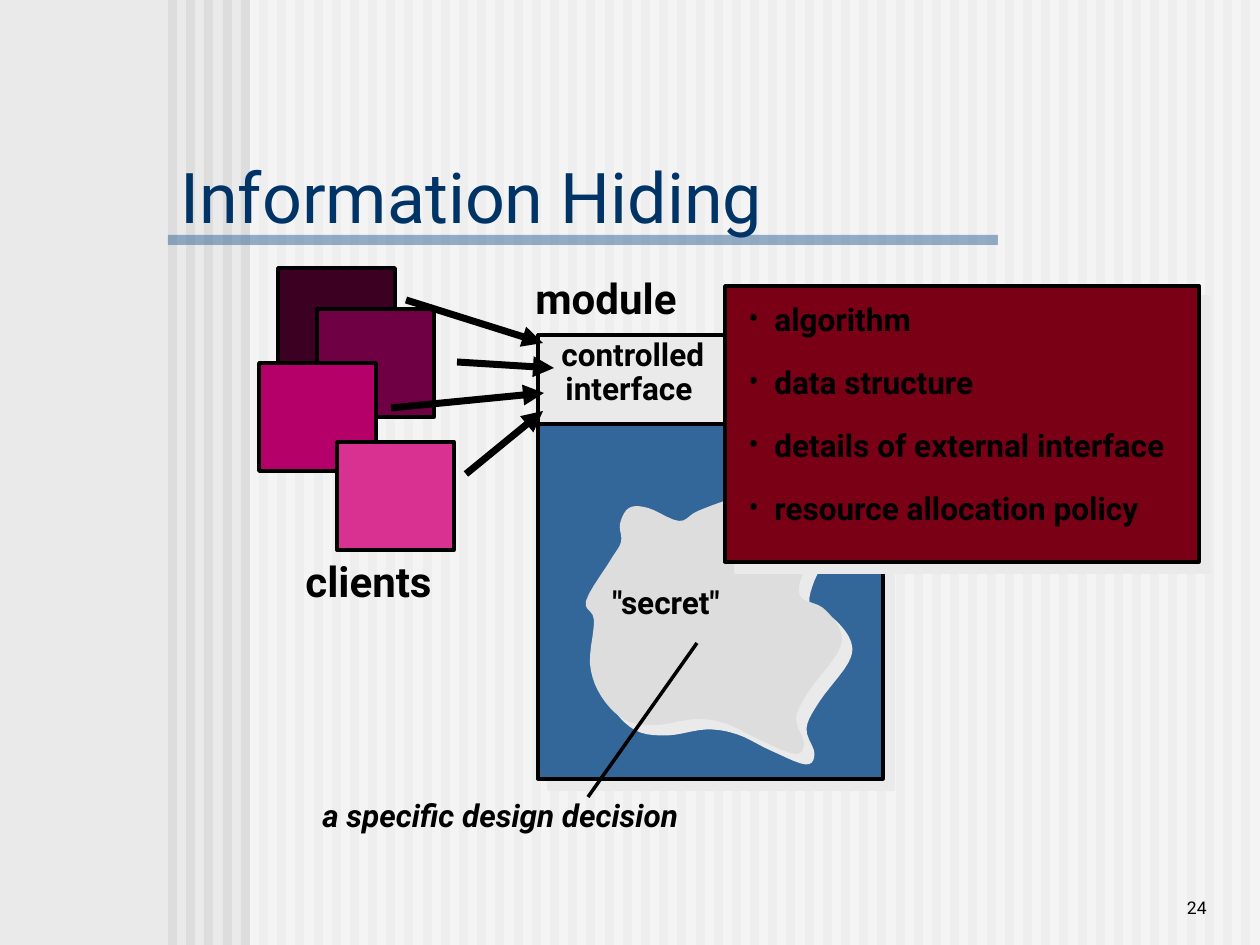
import dataclasses
import itertools

import lxml.etree
import pptx
import pptx.dml.color
import pptx.enum.shapes
import pptx.enum.text
import pptx.oxml
import pptx.oxml.ns
import pptx.util

EMU_PER_PX = 914400 / 126


@dataclasses.dataclass(frozen=True)
class Theme:
    font: str = "Roboto"
    title_size: int = 40
    label_size: int = 24
    body_size: int = 18
    number_size: int = 10
    outline: int = 2
    arrow: int = 4
    ink: str = "000000"
    title: str = "003366"
    paper: str = "EAEAEA"
    stripe: str = "DDDDDD"
    veil: str = "FFFFFF"
    blue: str = "336699"
    secret: str = "DDDDDD"
    card: str = "790015"
    clients: tuple = ("3C0023", "6E0043", "B50069", "D93192")


@dataclasses.dataclass(frozen=True)
class Box:
    x: int
    y: int
    w: int
    h: int

    def inner(self, x, y, w, h):
        return Box(self.x + x, self.y + y, w, h)

    def emu(self):
        return [px(side) for side in (self.x, self.y, self.w, self.h)]


THEME = Theme()
SECRET_LANDMARKS = {
    "left horn": [(93, 23), (62, 10), (43, 10), (34, 26)],
    "left side": [(35, 44), (24, 63), (0, 103), (8, 122), (4, 166), (15, 198)],
    "bottom": [(39, 222), (71, 227), (110, 221), (141, 226), (174, 242)],
    "foot": [(209, 256), (218, 245), (210, 220)],
    "right bulge": [(223, 193), (252, 154), (254, 132), (237, 110)],
    "right notch": [(214, 98), (218, 72), (237, 36)],
    "top": [(232, 21), (205, 20), (178, 1), (150, 0), (112, 13)],
}


def px(length):
    return pptx.util.Emu(round(length * EMU_PER_PX))


def rgb(color):
    return pptx.dml.color.RGBColor.from_string(color)


def add_xml(parent, tag, **attributes):
    return lxml.etree.SubElement(parent, pptx.oxml.ns.qn(tag), attributes)


def paint(shape, fill, outline=False, opacity=100, shadow=False):
    shape.shadow.inherit = False
    shape.fill.solid()
    shape.fill.fore_color.rgb = rgb(fill)
    properties = shape.element.spPr
    if opacity < 100:
        color = properties.find(".//" + pptx.oxml.ns.qn("a:srgbClr"))
        add_xml(color, "a:alpha", val=str(opacity * 1000))
    if outline:
        shape.line.color.rgb = rgb(THEME.ink)
        shape.line.width = pptx.util.Pt(THEME.outline)
    else:
        shape.line.fill.background()
    if shadow:
        effects = properties.find(pptx.oxml.ns.qn("a:effectLst"))
        cast = add_xml(effects, "a:outerShdw", blurRad="0", dist=str(pptx.util.Pt(8.5)),
                       dir=str(45 * 60000), algn="ctr", rotWithShape="0")
        add_xml(cast, "a:srgbClr", val=THEME.paper)


def add_panel(slide, box, fill, **look):
    panel = slide.shapes.add_shape(pptx.enum.shapes.MSO_SHAPE.RECTANGLE, *box.emu())
    paint(panel, fill, **look)


def smooth_curve(landmarks, steps=5):
    count = len(landmarks)
    curve = []
    for index, step in itertools.product(range(count), range(steps)):
        t = step / steps
        neighbours = [landmarks[(index + offset) % count] for offset in (-1, 0, 1, 2)]
        curve.append([
            b + t * (c - a) / 2 + t**2 * (2*a - 5*b + 4*c - d) / 2 + t**3 * (3*b - a - 3*c + d) / 2
            for a, b, c, d in zip(*neighbours)
        ])
    return curve


def add_blob(slide, box, landmarks, fill):
    outline = [(px(box.x + x), px(box.y + y)) for x, y in smooth_curve(landmarks)]
    builder = slide.shapes.build_freeform(*outline[0], scale=1.0)
    builder.add_line_segments(outline[1:], close=True)
    paint(builder.convert_to_shape(), fill, shadow=True)


def add_run(paragraph, words, size, color=THEME.ink, bold=True, italic=False):
    run = paragraph.add_run()
    run.text = words
    run.font.name = THEME.font
    run.font.size = pptx.util.Pt(size)
    run.font.color.rgb = rgb(color)
    run.font.bold = bold
    run.font.italic = italic


def add_frame(slide, box, wrap=True):
    frame = slide.shapes.add_textbox(*box.emu()).text_frame
    frame.word_wrap = wrap
    return frame


def add_label(slide, box, words, size=THEME.body_size, italic=False):
    frame = add_frame(slide, box, wrap=False)
    frame.auto_size = pptx.enum.text.MSO_AUTO_SIZE.SHAPE_TO_FIT_TEXT
    add_run(frame.paragraphs[0], words, size, italic=italic)


def add_bullet(paragraph, indent):
    properties = paragraph._p.get_or_add_pPr()
    properties.set("marL", str(px(indent)))
    properties.set("indent", str(px(-indent)))
    add_xml(properties, "a:buFont", typeface=THEME.font)
    add_xml(properties, "a:buChar", char="•")


def add_line(slide, box, start, end, width, arrow=False):
    points = [px(value) for x, y in (start, end) for value in (box.x + x, box.y + y)]
    line = slide.shapes.add_connector(pptx.enum.shapes.MSO_CONNECTOR.STRAIGHT, *points)
    line.line.color.rgb = rgb(THEME.ink)
    line.line.width = pptx.util.Pt(width)
    properties = line.element.spPr
    if arrow:
        add_xml(properties.find(pptx.oxml.ns.qn("a:ln")), "a:tailEnd", type="triangle")
    add_xml(properties, "a:effectLst")


def draw_backdrop(slide, box):
    slide.background.fill.solid()
    slide.background.fill.fore_color.rgb = rgb(THEME.paper)
    stripe_count, stripe_width, first, pitch = 60, 9, 168, 18.19
    for index in range(stripe_count):
        left = round(first + index * pitch)
        add_panel(slide, box.inner(left, 0, stripe_width, box.h), THEME.stripe)
    veil_left = 250
    add_panel(slide, box.inner(veil_left, 0, box.w - veil_left, box.h), THEME.veil, opacity=50)


def draw_title(slide, box):
    add_panel(slide, box.inner(0, 67, 830, 10), THEME.blue, opacity=50)
    frame = add_frame(slide, box)
    frame.vertical_anchor = pptx.enum.text.MSO_ANCHOR.MIDDLE
    add_run(frame.paragraphs[0], "Information Hiding", THEME.title_size, THEME.title, bold=False)


def draw_slide_number(slide, box):
    frame = add_frame(slide, box)
    frame.vertical_anchor = pptx.enum.text.MSO_ANCHOR.BOTTOM
    frame.paragraphs[0].alignment = pptx.enum.text.PP_ALIGN.RIGHT
    add_run(frame.paragraphs[0], "24", THEME.number_size, bold=False)


def draw_module(slide, box):
    add_panel(slide, box, THEME.blue, outline=True, shadow=True)
    add_label(slide, box.inner(-15, -69, 174, 63), "module", THEME.label_size)
    landmarks = list(itertools.chain.from_iterable(SECRET_LANDMARKS.values()))
    add_blob(slide, box.inner(48, 163, 256, 256), landmarks, THEME.secret)
    add_panel(slide, box.inner(0, 0, box.w, 89), THEME.paper, outline=True)
    add_label(slide, box.inner(11, -6, 178, 50), "controlled")
    add_label(slide, box.inner(15, 28, 156, 50), "interface")
    add_label(slide, box.inner(62, 242, 147, 50), "\"secret\"")


def draw_secrets_card(slide, box):
    add_panel(slide, box, THEME.card, outline=True, shadow=True)
    frame = add_frame(slide, box.inner(11, 8, 463, 239))
    secrets = ("algorithm", "data structure", "details of external interface",
               "resource allocation policy")
    for index, secret in enumerate(secrets):
        paragraph = frame.add_paragraph() if index else frame.paragraphs[0]
        paragraph.space_after = pptx.util.Pt(14.4)
        add_bullet(paragraph, indent=26)
        add_run(paragraph, secret, THEME.body_size)


def draw_clients(slide, box):
    corners = ((19, 0), (58, 41), (0, 95), (78, 174))
    for (x, y), fill in zip(corners, THEME.clients):
        add_panel(slide, box.inner(x, y, 117, 108), fill, outline=True)
    add_label(slide, box.inner(34, 281, 158, 63), "clients", THEME.label_size)


def draw_decision(slide, box):
    add_label(slide, box.inner(0, 147, 416, 50), "a specific design decision", italic=True)
    secret_end, decision_end = (387, 0), (278, 154)
    add_line(slide, box, secret_end, decision_end, THEME.outline)


def draw_calls(slide, box):
    client_ends = ((51, 62), (0, 0), (-15, 108), (60, 174))
    interface_ends = ((148, 68), (137, 43), (138, 93), (137, 111))
    for client_end, interface_end in zip(client_ends, interface_ends):
        add_line(slide, box, client_end, interface_end, THEME.arrow, arrow=True)


def main():
    deck = pptx.Presentation()
    page = Box(0, 0, 1260, 945)
    deck.slide_width, deck.slide_height = px(page.w), px(page.h)
    slide = deck.slides.add_slide(deck.slide_layouts[6])
    draw_backdrop(slide, page)
    draw_slide_number(slide, Box(1040, 861, 179, 63))
    draw_title(slide, Box(168, 168, 714, 54))
    draw_module(slide, Box(538, 335, 345, 444))
    draw_secrets_card(slide, Box(725, 286, 474, 276))
    draw_clients(slide, Box(259, 268, 195, 282))
    draw_decision(slide, Box(310, 643, 416, 197))
    draw_calls(slide, Box(406, 300, 148, 174))
    deck.save("out.pptx")


if __name__ == "__main__":
    main()
